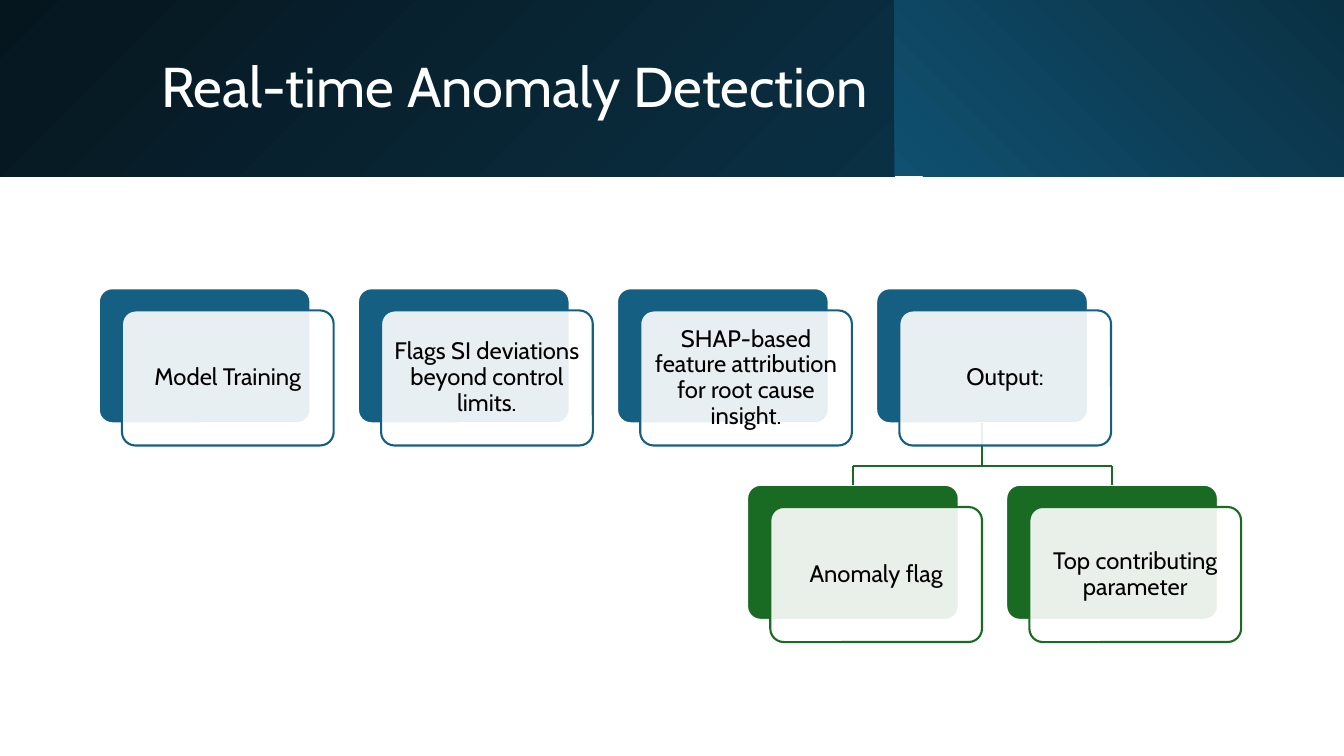
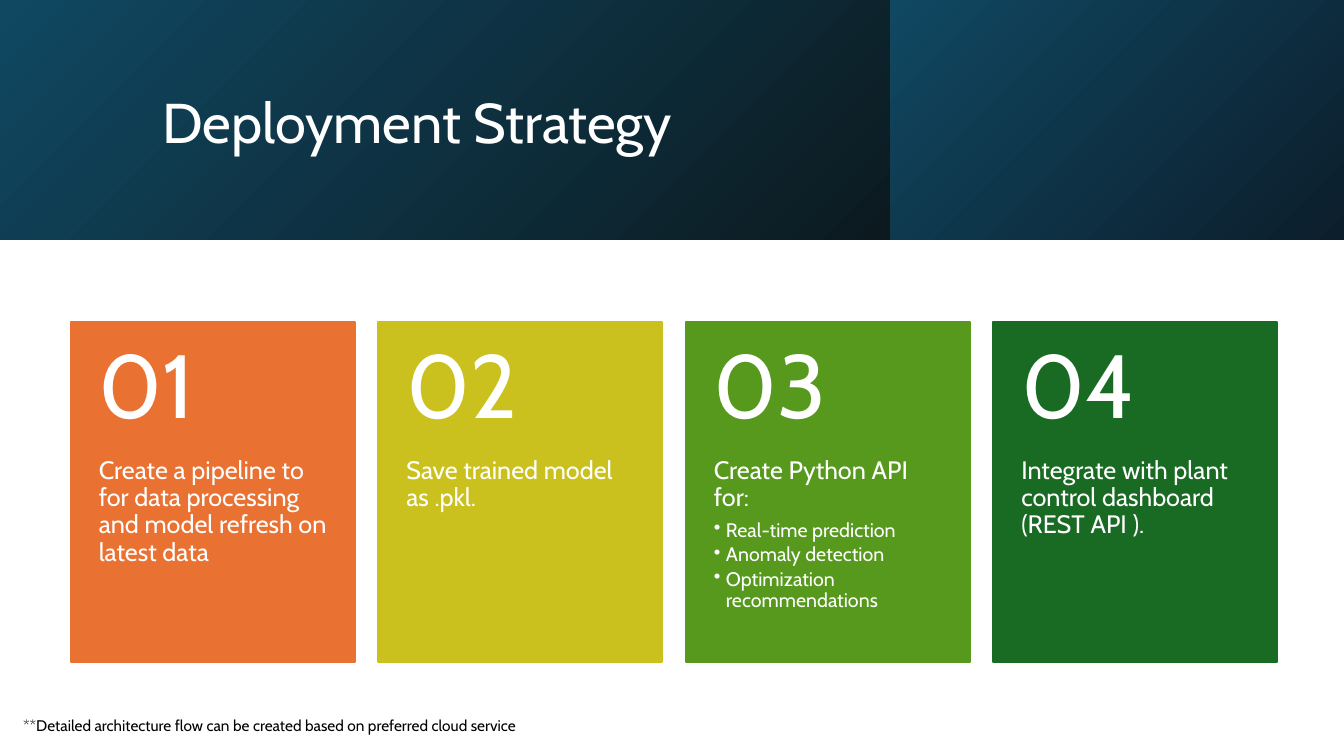
from lxml import etree
from pptx import Presentation
from pptx import util as u
from pptx.dml.color import RGBColor
from pptx.enum import shapes, text
from pptx.oxml.ns import qn

WHITE = RGBColor(0xFF, 0xFF, 0xFF)
BLACK = RGBColor(0, 0, 0)
BLUE = RGBColor(0x15, 0x60, 0x82)
GREEN = RGBColor(0x19, 0x6B, 0x24)
ORANGE = RGBColor(0xE9, 0x71, 0x32)
LIME = RGBColor(0xCB, 0xC1, 0x1E)
LEAF = RGBColor(0x56, 0x99, 0x1D)
NIGHT = RGBColor(0x06, 0x16, 0x1F)
NAVY = RGBColor(0x0A, 0x30, 0x43)
OCEAN = RGBColor(0x10, 0x48, 0x62)
BRIGHT = RGBColor(0x10, 0x50, 0x70)
COAL = RGBColor(0x0C, 0x1A, 0x20)
DUSK = RGBColor(0x0C, 0x1E, 0x2C)
FONT = "Cabin"
WIDE, HIGH = 13.33, 7.5

FLOW = {
    "title": "Real-time Anomaly Detection",
    "box": (1.5, 0.32, 10.82, 1.13),
    "band": 1.75,
    "split": 8.87,
    "grads": [(NIGHT, NAVY, 315), (BRIGHT, NAVY, 45)],
}
STEPS = [
    "Model Training",
    "Flags SI deviations beyond control limits.",
    "SHAP-based feature attribution for root cause insight.",
    "Output:",
]
OUTS = ["Anomaly flag", "Top contributing parameter"]

PLAN = {
    "title": "Deployment Strategy",
    "box": (1.51, 0.38, 10.63, 1.72),
    "band": 2.38,
    "split": 8.83,
    "grads": [(OCEAN, COAL, 315), (OCEAN, DUSK, 315)],
}
TASKS = [
    (ORANGE, "Create a pipeline to for data processing and model refresh on latest data", []),
    (LIME, "Save trained model as .pkl.", []),
    (LEAF, "Create Python API for:",
     ["Real-time prediction", "Anomaly detection", "Optimization recommendations"]),
    (GREEN, "Integrate with plant control dashboard (REST API ).", []),
]
NOTE = "**Detailed architecture flow can be created based on preferred cloud service"

MID = text.MSO_ANCHOR.MIDDLE
TOP = text.MSO_ANCHOR.TOP
LEFT = text.PP_ALIGN.LEFT
CENTER = text.PP_ALIGN.CENTER
RECT = shapes.MSO_SHAPE.RECTANGLE
ROUND = shapes.MSO_SHAPE.ROUNDED_RECTANGLE


def put(obj, vals):
    for key, val in vals.items():
        setattr(obj, key, val)


def inches(box):
    return [u.Inches(v) for v in box]


def frame(shape, pad, anchor):
    tf = shape.text_frame
    sides = ("margin_left", "margin_top", "margin_right", "margin_bottom")
    put(tf, dict(zip(sides, inches(pad))))
    put(tf, {"word_wrap": True, "auto_size": text.MSO_AUTO_SIZE.NONE,
             "vertical_anchor": anchor})
    return tf


def write(para, words, size, color, align=LEFT, after=0):
    put(para, {"alignment": align, "line_spacing": 0.9,
               "space_before": u.Pt(0), "space_after": u.Pt(after)})
    run = para.add_run()
    run.text = words
    put(run.font, {"name": FONT, "size": u.Pt(size)})
    run.font.color.rgb = color


def bullet(para):
    props = para._p.get_or_add_pPr()
    props.set("marL", str(u.Inches(0.12)))
    props.set("indent", str(u.Inches(-0.12)))
    etree.SubElement(props, qn("a:buChar")).set("char", "•")


def block(slide, kind, box, fill, line=None):
    shape = slide.shapes.add_shape(kind, *inches(box))
    shape.shadow.inherit = False
    shape.fill.solid()
    shape.fill.fore_color.rgb = fill
    if line is None:
        shape.line.fill.background()
    else:
        shape.line.color.rgb = line
        shape.line.width = u.Pt(1.5)
    return shape


def label(slide, box, words, size, color, pad):
    area = slide.shapes.add_textbox(*inches(box))
    write(frame(area, pad, MID).paragraphs[0], words, size, color)


def start(deck, data):
    slide = deck.slides.add_slide(deck.slide_layouts[5])
    cut = data["split"]
    spans = [(0, cut), (cut, WIDE - cut)]
    for spot, ((left, width), (first, last, angle)) in enumerate(zip(spans, data["grads"])):
        band = block(slide, RECT, (left, 0, width, data["band"]), first)
        band.fill.gradient()
        for stop, color in zip(band.fill.gradient_stops, (first, last)):
            stop.color.rgb = color
        band.fill.gradient_angle = angle
        slide.shapes._spTree.insert(2 + spot, band._element)
    title = slide.shapes.title
    put(title, dict(zip(("left", "top", "width", "height"), inches(data["box"]))))
    tf = frame(title, (0.1, 0.05, 0.1, 0.05), MID)
    write(tf.paragraphs[0], data["title"], 40, WHITE)
    return slide


def link(slide, ends, head=None, tail=None):
    wire = slide.shapes.add_connector(shapes.MSO_CONNECTOR.STRAIGHT, *inches(ends))
    if head is not None:
        wire.begin_connect(head, 2)
    if tail is not None:
        wire.end_connect(tail, 0)
    wire.line.color.rgb = GREEN
    wire.line.width = u.Pt(1.5)
    etree.SubElement(wire._element.spPr, qn("a:effectLst"))


def flow(deck):
    slide = start(deck, FLOW)
    wide, high, step, shift = 2.1, 1.34, 2.57, (0.23, 0.22)
    rows = [(0.98, 2.86, BLUE, STEPS), (7.41, 4.81, GREEN, OUTS)]
    cards = [(left + i * step, top, color, words)
             for left, top, color, items in rows for i, words in enumerate(items)]
    backs = []
    for left, top, color, words in cards:
        back = block(slide, ROUND, (left, top, wide, high), color, WHITE)
        back.adjustments[0] = 0.1
        backs.append(back)

    root = len(STEPS) - 1
    mids = [left + wide / 2 for left, *rest in cards]
    kids = range(root + 1, len(cards))
    bar = 4.62
    link(slide, (mids[root], cards[root][1] + high, mids[root], bar), head=backs[root])
    link(slide, (mids[kids[0]], bar, mids[kids[-1]], bar))
    for kid in kids:
        link(slide, (mids[kid], bar, mids[kid], cards[kid][1]), tail=backs[kid])

    for left, top, color, words in cards:
        front = block(slide, ROUND, (left + shift[0], top + shift[1], wide, high), WHITE, color)
        front.adjustments[0] = 0.1
        tint = front._element.spPr.find(qn("a:solidFill"))[0]
        etree.SubElement(tint, qn("a:alpha")).set("val", "90000")
        tf = frame(front, [0.07] * 4, MID)
        write(tf.paragraphs[0], words, 17, BLACK, CENTER)


def plan(deck):
    slide = start(deck, PLAN)
    top, wide, high, step, head = 3.19, 2.82, 3.38, 3.05, 1.35
    for i, (color, words, points) in enumerate(TASKS):
        left = 0.7 + i * step
        card = block(slide, RECT, (left, top, wide, high), color, color)
        tf = frame(card, (0.28, head, 0.28, 0.36), TOP)
        write(tf.paragraphs[0], words, 18, WHITE, after=6.3)
        for point in points:
            para = tf.add_paragraph()
            write(para, point, 14, WHITE, after=2.1)
            bullet(para)
        label(slide, (left, top, wide, head), f"{i + 1:02}", 64, WHITE,
              (0.28, 0.18, 0.28, 0.18))
    label(slide, (0.13, 6.96, 7.49, 0.49), NOTE, 11, BLACK, (0.1, 0.05, 0.1, 0.05))


def main():
    deck = Presentation()
    put(deck, {"slide_width": u.Inches(WIDE), "slide_height": u.Inches(HIGH)})
    flow(deck)
    plan(deck)
    deck.save("out.pptx")


if __name__ == "__main__":
    main()
